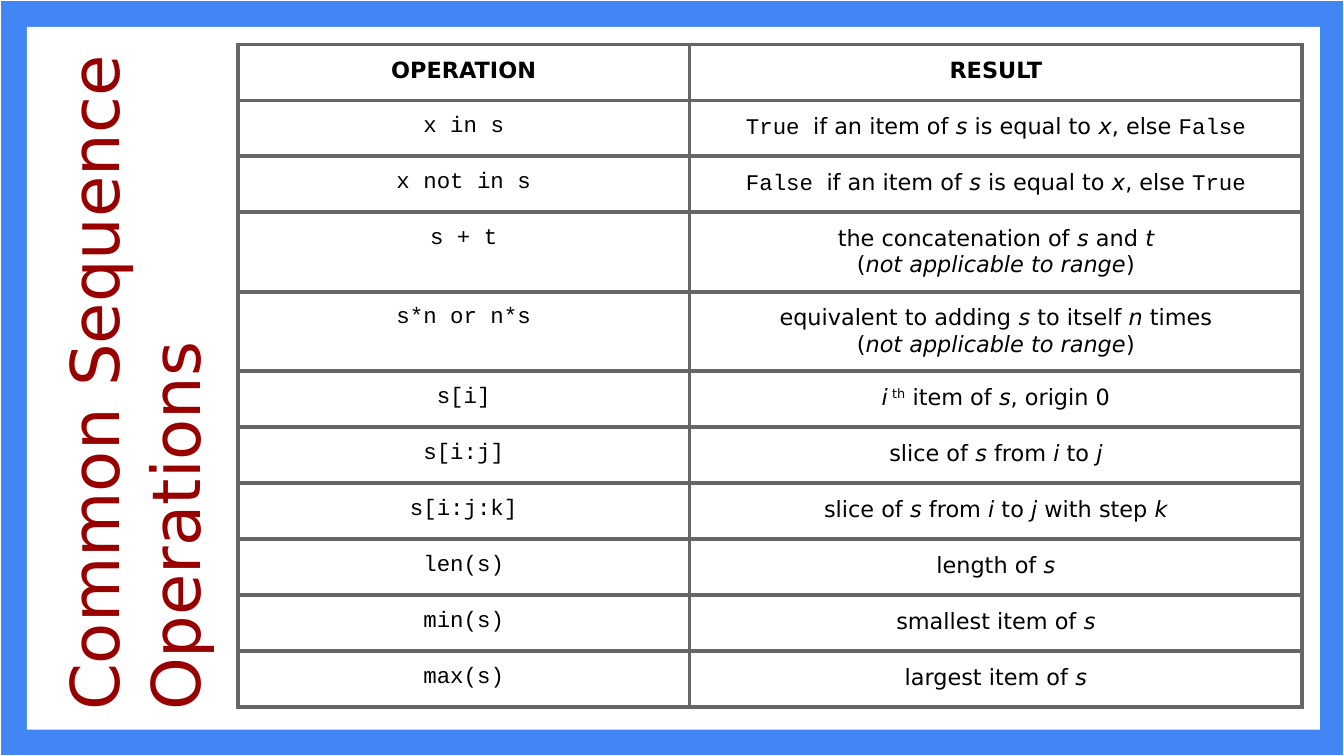
from itertools import product

from lxml.etree import SubElement
from pptx import Presentation
from pptx.dml.color import RGBColor
from pptx.enum.shapes import MSO_SHAPE
from pptx.enum.text import MSO_ANCHOR, MSO_AUTO_SIZE, PP_ALIGN
from pptx.oxml.ns import qn
from pptx.util import Inches, Pt

BLUE = RGBColor(0x42, 0x85, 0xF4)
WHITE = RGBColor(0xFF, 0xFF, 0xFF)
BLACK = RGBColor(0x00, 0x00, 0x00)
DARK_RED = RGBColor(0x98, 0x00, 0x00)
BORDER_GRAY = "666666"
TEXT_FONT = "DejaVu Sans"
CODE_FONT = "Courier New"
MARGIN = Inches(0.1)

# Marks in the table text: `code`, _italic_, ^superscript^
MARKS = "`_^"
ROWS = [
    ("OPERATION", "RESULT"),
    ("`x in s`", "`True `if an item of _s_ is equal to _x_, else `False`"),
    ("`x not in s`", "`False `if an item of _s_ is equal to _x_, else `True`"),
    ("`s + t`", "the concatenation of _s_ and _t_\n(_not applicable to range_)"),
    ("`s*n or n*s`", "equivalent to adding _s_ to itself _n_ times\n(_not applicable to range_)"),
    ("`s[i]`", "_i_^ th^ item of _s_, origin 0"),
    ("`s[i:j]`", "slice of _s_ from _i_ to _j_"),
    ("`s[i:j:k]`", "slice of _s_ from _i_ to _j_ with step _k_"),
    ("`len(s)`", "length of _s_"),
    ("`min(s)`", "smallest item of _s_"),
    ("`max(s)`", "largest item of _s_"),
]


def add_marked_text(paragraph, marked_text, bold):
    """Add one run for each stretch of text between two marks."""
    for mark in MARKS + "\n":
        marked_text = marked_text.replace(mark, f"\0{mark}\0")
    active = set()
    for piece in filter(None, marked_text.split("\0")):
        if piece == "\n":
            paragraph.add_line_break()
        elif piece in MARKS:
            active ^= {piece}
        else:
            run = paragraph.add_run()
            run.text = piece
            run.font.size = Pt(12)
            run.font.name = CODE_FONT if "`" in active else TEXT_FONT
            run.font.bold = bold
            run.font.italic = "_" in active
            run.font.color.rgb = BLACK
            if "^" in active:
                run.font._element.set("baseline", "30000")


def set_borders(cell):
    """Draw the four cell borders, which must come before the cell's fill."""
    properties = cell._tc.get_or_add_tcPr()
    for side in ("lnL", "lnR", "lnT", "lnB"):
        line = SubElement(properties, qn(f"a:{side}"), w=str(Pt(2.25)))
        fill = SubElement(line, qn("a:solidFill"))
        SubElement(fill, qn("a:srgbClr"), val=BORDER_GRAY)


# Widescreen slide, 16 to 9
presentation = Presentation()
presentation.slide_width = Inches(10)
presentation.slide_height = presentation.slide_width * 9 // 16
slide = presentation.slides.add_slide(presentation.slide_layouts[5])
shapes = slide.shapes

# Blue frame around a white panel
frame = shapes.add_shape(
    MSO_SHAPE.RECTANGLE, 0, 0, presentation.slide_width, presentation.slide_height)
panel = shapes.add_shape(
    MSO_SHAPE.RECTANGLE, Inches(0.2), Inches(0.2), Inches(9.62), Inches(5.23))
for shape, color in ((frame, BLUE), (panel, WHITE)):
    shape.shadow.inherit = False
    shape.fill.solid()
    shape.fill.fore_color.rgb = color
    shape.line.fill.background()
frame.line.color.rgb = WHITE
frame.line.width = Pt(0.75)

# Operations table; rows with two lines of text grow to fit
table = shapes.add_table(
    len(ROWS), 2, Inches(1.77), Inches(0.33), Inches(7.92), Pt(30) * len(ROWS)).table
table.first_row = False
table.horz_banding = False
for column, width in zip(table.columns, (3.36, 4.56)):
    column.width = Inches(width)

for row_index, column_index in product(range(len(ROWS)), range(2)):
    cell = table.cell(row_index, column_index)
    set_borders(cell)
    cell.fill.background()
    cell.margin_left = cell.margin_right = MARGIN
    cell.margin_top = cell.margin_bottom = MARGIN
    paragraph = cell.text_frame.paragraphs[0]
    paragraph.alignment = PP_ALIGN.CENTER
    add_marked_text(paragraph, ROWS[row_index][column_index], row_index == 0)

# Title, turned to read upwards and brought in front of the panel
title = shapes.title
shapes._spTree.append(title._element)
title.left, title.top = Inches(-1.63), Inches(2.15)
title.width, title.height = Inches(5.16), Inches(1.32)
title.rotation = 270
text_frame = title.text_frame
text_frame.word_wrap = True
text_frame.auto_size = MSO_AUTO_SIZE.NONE
text_frame.vertical_anchor = MSO_ANCHOR.TOP
text_frame.margin_left = text_frame.margin_right = MARGIN
text_frame.margin_top = text_frame.margin_bottom = MARGIN
for index, words in enumerate(("Common Sequence", "Operations")):
    paragraph = text_frame.add_paragraph() if index else text_frame.paragraphs[0]
    paragraph.alignment = PP_ALIGN.LEFT
    run = paragraph.add_run()
    run.text = words
    run.font.size = Pt(36)
    run.font.name = TEXT_FONT
    run.font.color.rgb = DARK_RED

presentation.save("out.pptx")
